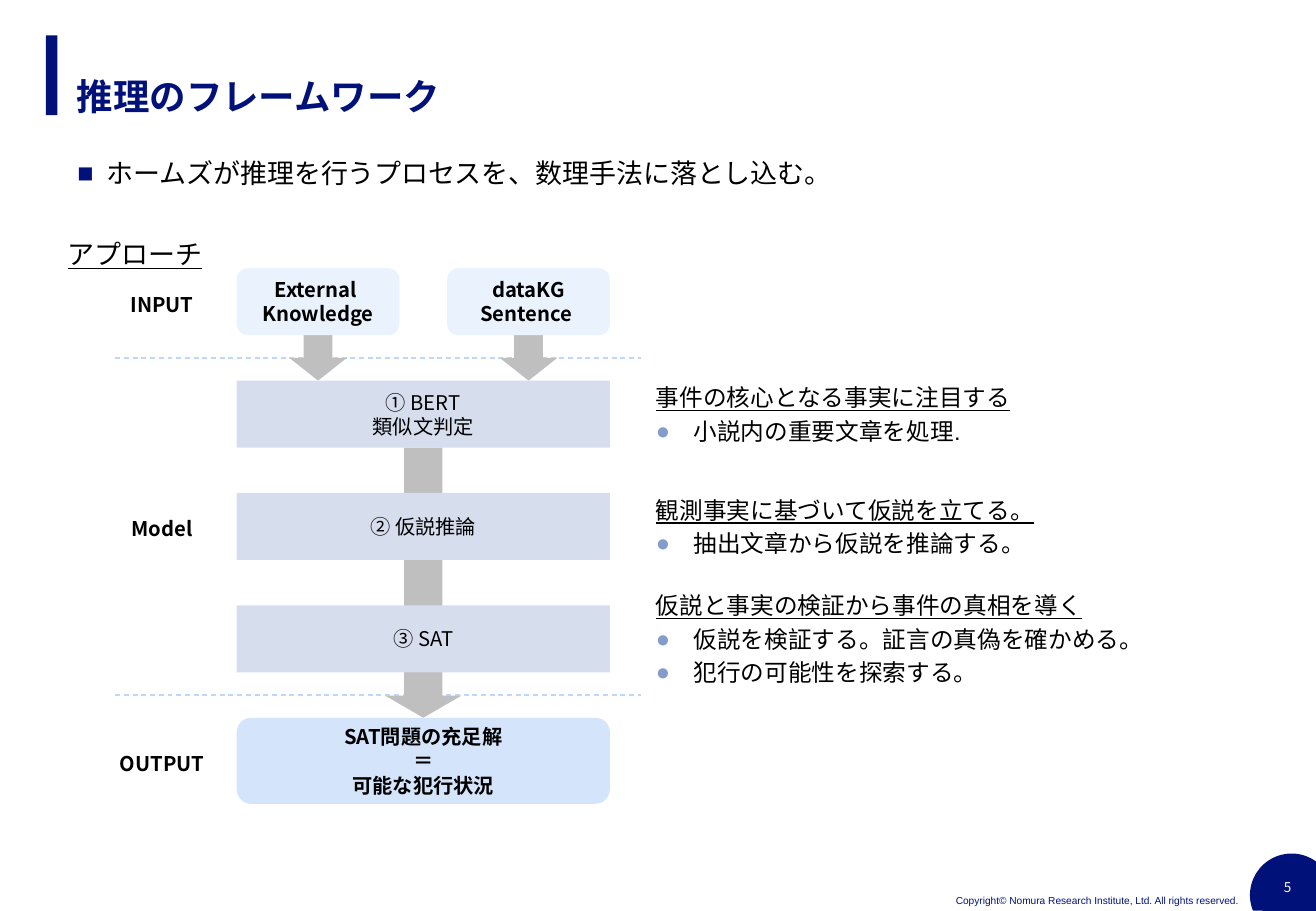
from dataclasses import dataclass
from math import cos, radians, sin

from lxml import etree
from pptx import Presentation
from pptx.dml.color import RGBColor
from pptx.enum.dml import MSO_LINE
from pptx.enum.shapes import MSO_CONNECTOR, MSO_SHAPE
from pptx.enum.text import MSO_ANCHOR, MSO_AUTO_SIZE, PP_ALIGN
from pptx.oxml.ns import qn
from pptx.shapes.autoshape import Shape
from pptx.slide import Slide
from pptx.text.text import TextFrame
from pptx.util import Cm, Pt

RECT, ROUNDED, DOWN_ARROW = MSO_SHAPE.RECTANGLE, MSO_SHAPE.ROUNDED_RECTANGLE, MSO_SHAPE.DOWN_ARROW
STRAIGHT, DASH = MSO_CONNECTOR.STRAIGHT, MSO_LINE.DASH
LEFT, CENTER, RIGHT = PP_ALIGN.LEFT, PP_ALIGN.CENTER, PP_ALIGN.RIGHT
TOP, MIDDLE = MSO_ANCHOR.TOP, MSO_ANCHOR.MIDDLE
NO_AUTOFIT = MSO_AUTO_SIZE.NONE

COLORS = {
    "navy": "001279", "black": "000000", "white": "FFFFFF", "arrow": "BFBFBF",
    "divider": "BFD7F9", "bullet": "849BCC", "input": "EAF2FD",
    "model": "D6DEEE", "output": "D4E4FB",
}
ARIAL, NOTO = "Arial", "Noto Sans CJK JP"

SLIDE_W, SLIDE_H = 27.51, 19.05
FLOW_X, FLOW_W, INPUT_W = 4.95, 7.8, 3.4
ROW_TOP, ROW_STEP, ROW_H, OUTPUT_H = 5.61, 2.35, 1.4, 1.8
GAP = ROW_STEP - ROW_H


@dataclass(frozen=True)
class Box:
    x: float
    y: float
    w: float
    h: float


@dataclass(frozen=True)
class Style:
    size: float
    font: str = NOTO
    color: str = "black"
    bold: bool = False
    underline: bool = False
    align: PP_ALIGN = LEFT
    line_spacing: float = 1.0
    space_after: float = 0
    bullet: str = ""
    bullet_color: str = "bullet"
    indent: float = 0


@dataclass(frozen=True)
class Stage:
    box: Box
    lines: tuple[str, ...]
    fill: str
    bold: bool = True
    rounded: bool = True


@dataclass(frozen=True)
class Note:
    row: int
    heading: str
    points: tuple[str, ...]


def row_y(row: int) -> float:
    return ROW_TOP + row * ROW_STEP


def rgb(name: str) -> RGBColor:
    return RGBColor.from_string(COLORS[name])


def place(box: Box) -> tuple[Cm, Cm, Cm, Cm]:
    return Cm(box.x), Cm(box.y), Cm(box.w), Cm(box.h)


def write(frame: TextFrame, lines: list[tuple[str, Style]], anchor: MSO_ANCHOR = MIDDLE,
          wrap: bool = True) -> None:
    frame.word_wrap = wrap
    frame.auto_size = NO_AUTOFIT
    frame.vertical_anchor = anchor
    for number, (text, style) in enumerate(lines):
        paragraph = frame.paragraphs[0] if number == 0 else frame.add_paragraph()
        if style.bullet:
            properties = paragraph._p.get_or_add_pPr()
            properties.set("marL", str(Cm(style.indent)))
            properties.set("indent", str(-Cm(style.indent)))
            tint = etree.SubElement(properties, qn("a:buClr"))
            etree.SubElement(tint, qn("a:srgbClr"), val=COLORS[style.bullet_color])
            etree.SubElement(properties, qn("a:buFont"), typeface=ARIAL)
            etree.SubElement(properties, qn("a:buChar"), char=style.bullet)
        paragraph.alignment = style.align
        paragraph.line_spacing = style.line_spacing
        paragraph.space_after = Pt(style.space_after)
        run = paragraph.add_run()
        run.text = text
        run.font.size = Pt(style.size)
        run.font.bold = style.bold
        run.font.underline = style.underline
        run.font.color.rgb = rgb(style.color)
        run.font.name = style.font
        etree.SubElement(run._r.get_or_add_rPr(), qn("a:ea"), typeface=NOTO)


def add_text(slide: Slide, box: Box, lines: list[tuple[str, Style]],
             anchor: MSO_ANCHOR = MIDDLE) -> None:
    write(slide.shapes.add_textbox(*place(box)).text_frame, lines, anchor)


def paint(shape: Shape, fill: str) -> None:
    shape.shadow.inherit = False
    shape.fill.solid()
    shape.fill.fore_color.rgb = rgb(fill)
    shape.line.fill.background()


def add_block(slide: Slide, kind: MSO_SHAPE, box: Box, fill: str) -> Shape:
    block = slide.shapes.add_shape(kind, *place(box))
    paint(block, fill)
    return block


def add_stage(slide: Slide, stage: Stage) -> None:
    block = add_block(slide, ROUNDED if stage.rounded else RECT, stage.box, stage.fill)
    style = Style(12, bold=stage.bold, align=CENTER)
    write(block.text_frame, [(line, style) for line in stage.lines], wrap=False)


def add_divider(slide: Slide, y: float) -> None:
    divider = slide.shapes.add_connector(STRAIGHT, Cm(2.41), Cm(y), Cm(13.41), Cm(y))
    divider.line.color.rgb = rgb("divider")
    divider.line.width = Pt(0.75)
    divider.line.dash_style = DASH
    etree.SubElement(divider._element.spPr, qn("a:effectLst"))


def add_page_corner(slide: Slide) -> None:
    center_x, center_y, radius = 27, 18.72, 0.87
    arc = [(Cm(center_x + radius * cos(radians(a))), Cm(center_y - radius * sin(radians(a))))
           for a in range(202, 53, -2)]
    outline = slide.shapes.build_freeform(*arc[0])
    outline.add_line_segments(arc[1:] + [(Cm(SLIDE_W), Cm(SLIDE_H))], close=True)
    paint(outline.convert_to_shape(), "navy")


def add_note(slide: Slide, note: Note) -> None:
    heading = Style(14, ARIAL, underline=True, space_after=3)
    point = Style(14, ARIAL, space_after=3, bullet="●", indent=0.79)
    lines = [(note.heading, heading)] + [(text, point) for text in note.points]
    add_text(slide, Box(13.46, row_y(note.row), 12.7, ROW_H), lines)


INPUT_XS = (FLOW_X, FLOW_X + FLOW_W - INPUT_W)
INPUTS = (("External ", "Knowledge"), ("dataKG", "Sentence "))
MODELS = (("① BERT", "類似文判定"), ("② 仮説推論",), ("③ SAT",))
STAGES = [
    *(Stage(Box(x, row_y(0), INPUT_W, ROW_H), lines, "input")
      for x, lines in zip(INPUT_XS, INPUTS)),
    *(Stage(Box(FLOW_X, row_y(row), FLOW_W, ROW_H), lines, "model", False, False)
      for row, lines in enumerate(MODELS, 1)),
    Stage(Box(FLOW_X, row_y(4), FLOW_W, OUTPUT_H),
          ("SAT問題の充足解", "＝", "可能な犯行状況"), "output"),
]
NOTES = [
    Note(1, "事件の核心となる事実に注目する", ("小説内の重要文章を処理.",)),
    Note(2, "観測事実に基づいて仮説を立てる。", ("抽出文章から仮説を推論する。",)),
    Note(3, "仮説と事実の検証から事件の真相を導く",
         ("仮説を検証する。証言の真偽を確かめる。", "犯行の可能性を探索する。")),
]
PHASES = (("INPUT", 0, ROW_H), ("Model", 2, ROW_H), ("OUTPUT", 4, OUTPUT_H))


def main() -> None:
    deck = Presentation()
    deck.slide_width, deck.slide_height = Cm(SLIDE_W), Cm(SLIDE_H)
    slide = deck.slides.add_slide(deck.slide_layouts[5])

    title = slide.shapes.title
    title.left, title.top, title.width, title.height = place(Box(1.35, 1.52, 24.79, 1.09))
    write(title.text_frame, [("推理のフレームワーク",
                              Style(21.6, ARIAL, "navy", bold=True, line_spacing=0.9))])
    add_block(slide, RECT, Box(0.96, 0.74, 0.24, 1.67), "navy")
    add_page_corner(slide)
    add_text(slide, Box(16.14, 18.57, 10, 0.51),
             [("Copyright© Nomura Research Institute, Ltd. All rights reserved.",
               Style(6, ARIAL, "navy", align=RIGHT))], TOP)
    add_text(slide, Box(26.49, 18.26, 0.86, 0.61),
             [("5", Style(8, color="white", align=CENTER))], TOP)
    add_text(slide, Box(1.37, 3.02, 24.77, 1.2),
             [("ホームズが推理を行うプロセスを、数理手法に落とし込む。",
               Style(16, ARIAL, line_spacing=1.2, bullet="■", bullet_color="navy",
                     indent=0.61))], TOP)
    add_text(slide, Box(1.17, 4.93, 6.02, 0.74), [("アプローチ", Style(16, underline=True))])

    for row in (1, 4):
        add_divider(slide, row_y(row) - GAP / 2)
    for x in INPUT_XS:
        add_block(slide, DOWN_ARROW, Box(x + INPUT_W / 2 - 0.6, row_y(0) + ROW_H, 1.2, GAP), "arrow")
    flow_top = row_y(1) + ROW_H
    flow = add_block(slide, DOWN_ARROW,
                     Box(FLOW_X + FLOW_W / 2 - 0.8, flow_top, 1.6, row_y(4) - flow_top), "arrow")
    flow.adjustments[1] = 0.29

    for stage in STAGES:
        add_stage(slide, stage)
    for note in NOTES:
        add_note(slide, note)
    for name, row, height in PHASES:
        add_text(slide, Box(1.89, row_y(row), 3, height),
                 [(name, Style(12, bold=True, align=CENTER, line_spacing=1.2))])
    deck.save("out.pptx")


if __name__ == "__main__":
    main()
